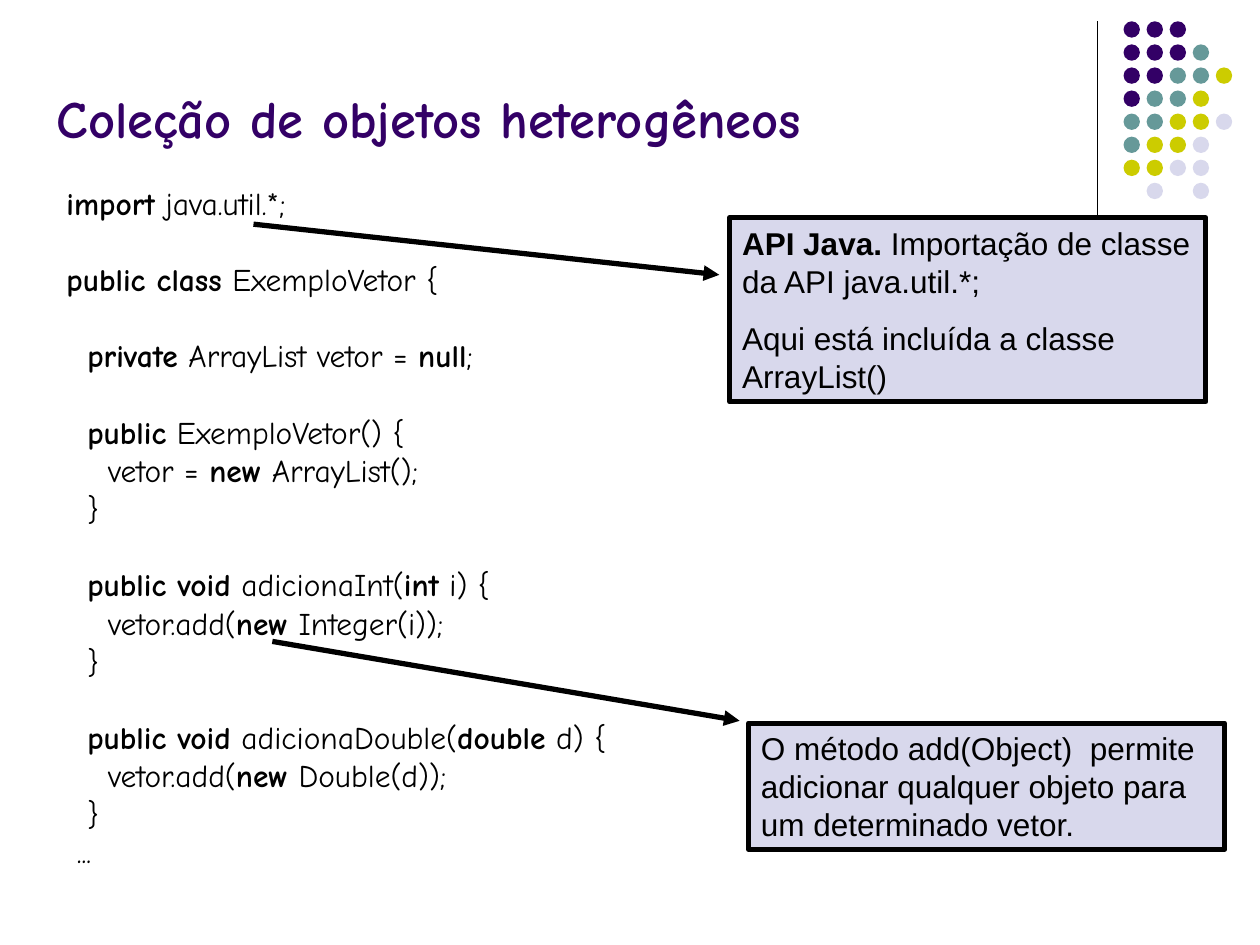
from pptx import Presentation
from pptx.util import Cm, Pt
from pptx.dml.color import RGBColor as Rgb
from pptx.enum.shapes import MSO_SHAPE as Kind, MSO_CONNECTOR as Link
from pptx.enum.text import MSO_ANCHOR as Anchor, MSO_AUTO_SIZE as Fit
from pptx.oxml.ns import qn
from lxml.etree import SubElement as Sub

theme = {
    "ink": Rgb.from_string("000000"),
    "plum": Rgb.from_string("330066"),
    "teal": Rgb.from_string("669999"),
    "lime": Rgb.from_string("CCCC00"),
    "mist": Rgb.from_string("D8D8EC"),
    "hand": "Comic Neue",
    "sans": "Arial",
    "head": Pt(30),
    "body": Pt(18),
}


def write(par, text, font="hand", size="body", color="ink", bold=False,
          before=0, lead=None, left=0):
    par.space_before = Pt(before)
    if lead:
        par.line_spacing = lead
    par._p.get_or_add_pPr().set("marL", str(Cm(left)))
    for i, part in enumerate(text.split("|")):
        if part:
            run = par.add_run()
            run.text = part
            run.font.name = theme[font]
            run.font.size = theme[size]
            run.font.color.rgb = theme[color]
            run.font.bold = bold or i % 2 == 1


deck = Presentation()
deck.slide_width, deck.slide_height = Cm(25.4), Cm(19.05)
slide = deck.slides.add_slide(deck.slide_layouts[6])
shapes = slide.shapes

tints = {"P": "plum", "T": "teal", "L": "lime", "M": "mist"}
dots = ["PPP", "PPPT", "PPTTL", "PTTL", "TTLLM", "TLLM", "LLMM", " M M"]
step = 0.465
for row, marks in enumerate(dots):
    for col, mark in enumerate(marks):
        if mark in tints:
            dot = shapes.add_shape(Kind.OVAL, Cm(22.65 + col * step),
                                   Cm(0.43 + row * step), Cm(0.33), Cm(0.33))
            dot.shadow.inherit = False
            dot.fill.solid()
            dot.fill.fore_color.rgb = theme[tints[mark]]
            dot.line.fill.background()

lines = [
    (22.12, 0.43, 22.12, 4.65, 0.75, False),
    (5.11, 4.52, 14.5, 5.54, 3, True),
    (5.49, 12.93, 14.91, 14.53, 3, True),
]
for x1, y1, x2, y2, width, arrow in lines:
    line = shapes.add_connector(Link.STRAIGHT, Cm(x1), Cm(y1), Cm(x2), Cm(y2))
    line.line.color.rgb = theme["ink"]
    line.line.width = Pt(width)
    if arrow:
        Sub(line.line._get_or_add_ln(), qn("a:tailEnd"), type="triangle")
    Sub(line._element.spPr, qn("a:effectLst"))

title = shapes.add_textbox(Cm(0.89), Cm(0.33), Cm(21.34), Cm(2.79)).text_frame
title.word_wrap = True
title.vertical_anchor = Anchor.BOTTOM
write(title.paragraphs[0], "Coleção de objetos heterogêneos",
      size="head", color="plum", bold=True)

near, far = 4.5, 26.3
code = [
    (0, near, "|import| java.util.*;"),
    (0, far, "|public class| ExemploVetor {"),
    (2, far, "|private| ArrayList vetor = |null|;"),
    (2, far, "|public| ExemploVetor() {"),
    (4, near, "vetor = |new| ArrayList();"),
    (2, near, "}"),
    (2, far, "|public void| adicionaInt(|int| i) {"),
    (4, near, "vetor.add(|new| Integer(i));"),
    (2, near, "}"),
    (2, far, "|public void| adicionaDouble(|double| d) {"),
    (4, near, "vetor.add(|new| Double(d));"),
    (2, near, "}"),
    (1, near, "..."),
]
body = shapes.add_textbox(Cm(1.09), Cm(3.73), Cm(23.7), Cm(15.01)).text_frame
body.word_wrap = True
for i, (depth, gap, text) in enumerate(code):
    par = body.add_paragraph() if i else body.paragraphs[0]
    write(par, text, before=gap, lead=0.8, left=depth * 0.21)

notes = [
    (14.71, 4.39, 3.71, ["|API Java. |Importação de classe da API java.util.*;",
                         "Aqui está incluída a classe ArrayList()"]),
    (15.09, 14.58, 2.54, ["O método add(Object)  permite adicionar "
                          "qualquer objeto para um determinado vetor."]),
]
for x, y, high, texts in notes:
    box = shapes.add_shape(Kind.RECTANGLE, Cm(x), Cm(y), Cm(9.6), Cm(high))
    box.shadow.inherit = False
    box.fill.solid()
    box.fill.fore_color.rgb = theme["mist"]
    box.line.color.rgb = theme["ink"]
    box.line.width = Pt(3)
    frame = box.text_frame
    frame.word_wrap = True
    frame.auto_size = Fit.SHAPE_TO_FIT_TEXT
    frame.vertical_anchor = Anchor.TOP
    for i, text in enumerate(texts):
        par = frame.add_paragraph() if i else frame.paragraphs[0]
        par.alignment = 1
        write(par, text, font="sans", before=11.2)

deck.save("out.pptx")
